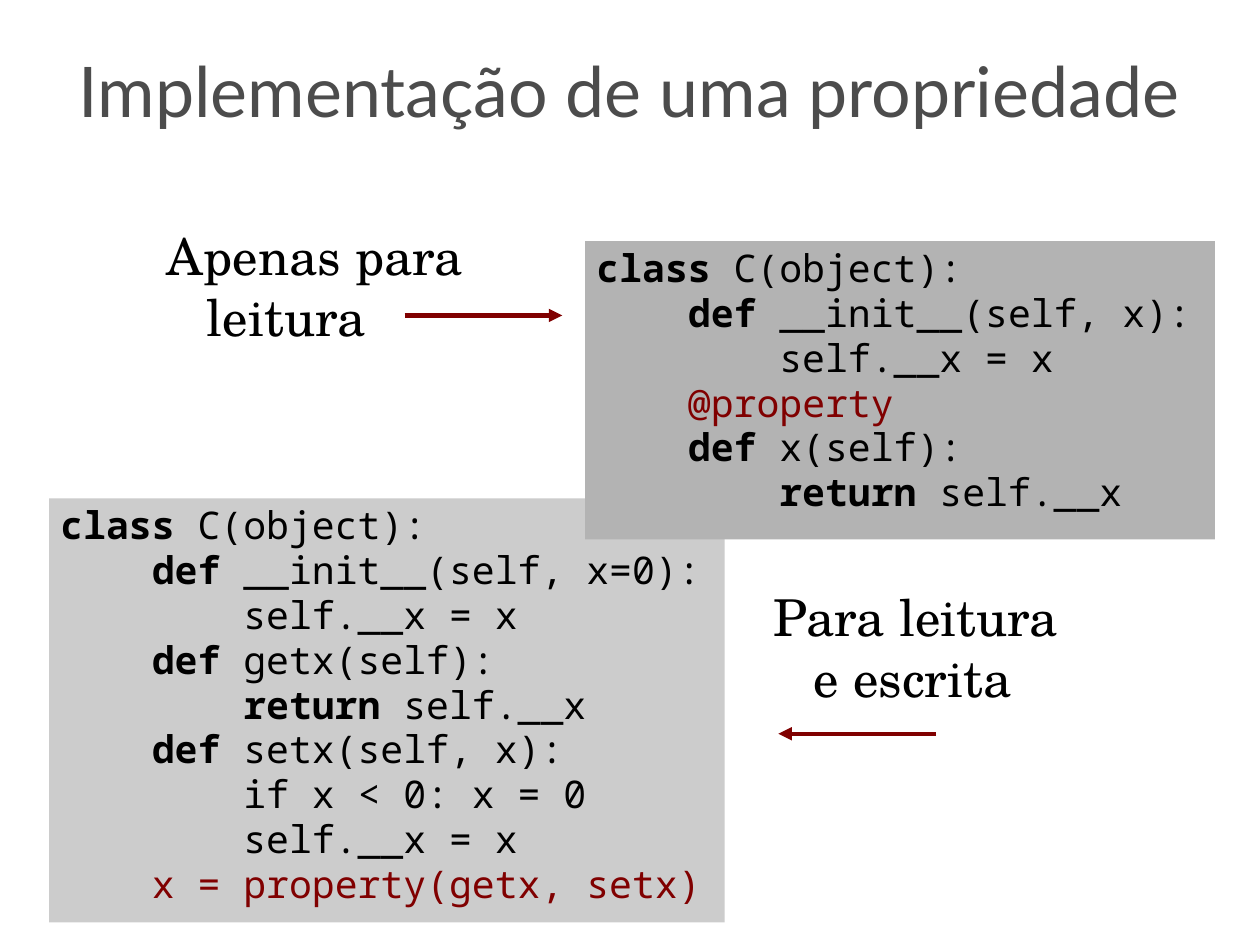
from dataclasses import dataclass

from lxml.etree import SubElement
from pptx import Presentation
from pptx.dml.color import RGBColor
from pptx.enum.shapes import MSO_CONNECTOR, MSO_SHAPE
from pptx.enum.text import MSO_ANCHOR, MSO_AUTO_SIZE, PP_ALIGN
from pptx.oxml.ns import qn
from pptx.slide import Slide
from pptx.util import Cm, Inches, Pt

COLORS = {
    "title": "4C4C4C",
    "text": "000000",
    "accent": "800000",
    "light": "CCCCCC",
    "dark": "B3B3B3",
}
TITLE_FONT, BODY_FONT, CODE_FONT = "Lato", "TeX Gyre Schola", "Noto Sans Mono"
CODE_INDENT = 0.8  # four characters of the code font

# Each line of code: indent level, then (text, style) runs
READ_ONLY = [
    (0, [("class", "keyword"), (" C(object):", "plain")]),
    (1, [("def", "keyword"), (" __init__(self, x):", "plain")]),
    (2, [("self.__x = x", "plain")]),
    (1, [("@property", "accent")]),
    (1, [("def", "keyword"), (" x(self):", "plain")]),
    (2, [("return", "keyword"), (" self.__x", "plain")]),
]
READ_WRITE = [
    (0, [("class", "keyword"), (" C(object):", "plain")]),
    (1, [("def", "keyword"), (" __init__(self, x=0):", "plain")]),
    (2, [("self.__x = x", "plain")]),
    (1, [("def", "keyword"), (" getx(self):", "plain")]),
    (2, [("return", "keyword"), (" self.__x", "plain")]),
    (1, [("def", "keyword"), (" setx(self, x):", "plain")]),
    (2, [("if x < 0: x = 0", "plain")]),
    (2, [("self.__x = x", "plain")]),
    (1, [("x = property(getx, setx)", "accent")]),
]


def rgb(name):
    return RGBColor.from_string(COLORS[name])


def set_indent(p, left, first=0):
    """Set the left margin and first-line indent, without a bullet."""
    pPr = p._p.get_or_add_pPr()
    pPr.set("marL", str(Inches(left)))
    pPr.set("indent", str(Inches(first)))
    SubElement(pPr, qn("a:buNone"))


@dataclass
class SlideBuilder:
    slide: Slide
    code_size: int = 24
    label_size: int = 32
    title_size: int = 44

    def run(self, p, text, font, size, color="text", bold=False):
        r = p.add_run()
        r.text = text
        r.font.name = font
        r.font.size = Pt(size)
        r.font.bold = bold
        r.font.color.rgb = rgb(color)

    def place(self, sp, box, anchor=MSO_ANCHOR.TOP):
        """Move a placeholder, clear its insets and return its text frame."""
        sp.left, sp.top, sp.width, sp.height = map(Inches, box)
        tf = sp.text_frame
        tf.margin_left = tf.margin_right = tf.margin_top = tf.margin_bottom = 0
        tf.vertical_anchor = anchor
        tf.auto_size = MSO_AUTO_SIZE.NONE
        tf.word_wrap = True
        return tf

    def title(self, text, box):
        tf = self.place(self.slide.shapes.title, box, MSO_ANCHOR.MIDDLE)
        p = tf.paragraphs[0]
        p.alignment = PP_ALIGN.CENTER
        self.run(p, text, TITLE_FONT, self.title_size, "title")

    def label(self, idx, lines, box):
        p = self.place(self.slide.placeholders[idx], box).paragraphs[0]
        p.space_before, p.space_after = Pt(0), Pt(14.2)
        set_indent(p, 0.47, -0.35)
        for i, text in enumerate(lines):
            if i:
                p.add_line_break()
            self.run(p, text, BODY_FONT, self.label_size)

    def code(self, lines, box, fill):
        sp = self.slide.shapes.add_shape(MSO_SHAPE.RECTANGLE, *map(Inches, box))
        sp.shadow.inherit = False
        sp.fill.solid()
        sp.fill.fore_color.rgb = rgb(fill)
        sp.line.fill.background()
        tf = sp.text_frame
        tf.word_wrap = True
        tf.vertical_anchor = MSO_ANCHOR.TOP
        for i, (level, runs) in enumerate(lines):
            p = tf.add_paragraph() if i else tf.paragraphs[0]
            p.alignment = PP_ALIGN.LEFT
            p.line_spacing = 0.98
            set_indent(p, level * CODE_INDENT)
            for text, style in runs:
                color = "accent" if style == "accent" else "text"
                self.run(p, text, CODE_FONT, self.code_size, color, style == "keyword")

    def arrow(self, x1, x2, y):
        ends = map(Inches, (x1, y, x2, y))
        line = self.slide.shapes.add_connector(MSO_CONNECTOR.STRAIGHT, *ends)
        line.line.color.rgb = rgb("accent")
        line.line.width = Pt(2.83)
        spPr = line._element.spPr
        SubElement(spPr.get_or_add_ln(), qn("a:tailEnd"), type="triangle")
        SubElement(spPr, qn("a:effectLst"))


def main():
    prs = Presentation()
    prs.slide_width = Cm(28)
    prs.slide_height = Cm(21)
    two_content = prs.slide_layouts[3]
    s = SlideBuilder(prs.slides.add_slide(two_content))

    s.title("Implementação de uma propriedade", (0.55, -0.05, 9.92, 1.67))
    s.code(READ_WRITE, (0.43, 4.36, 5.91, 3.71), "light")
    s.code(READ_ONLY, (5.12, 2.11, 5.51, 2.61), "dark")
    s.label(1, ["Apenas para ", "leitura"], (1.34, 1.97, 3.78, 1.38))
    s.label(2, ["Para leitura ", "e escrita"], (6.65, 5.12, 3.78, 1.38))
    s.arrow(3.54, 4.92, 2.76)
    s.arrow(8.19, 6.81, 6.42)

    prs.save("out.pptx")


if __name__ == "__main__":
    main()
